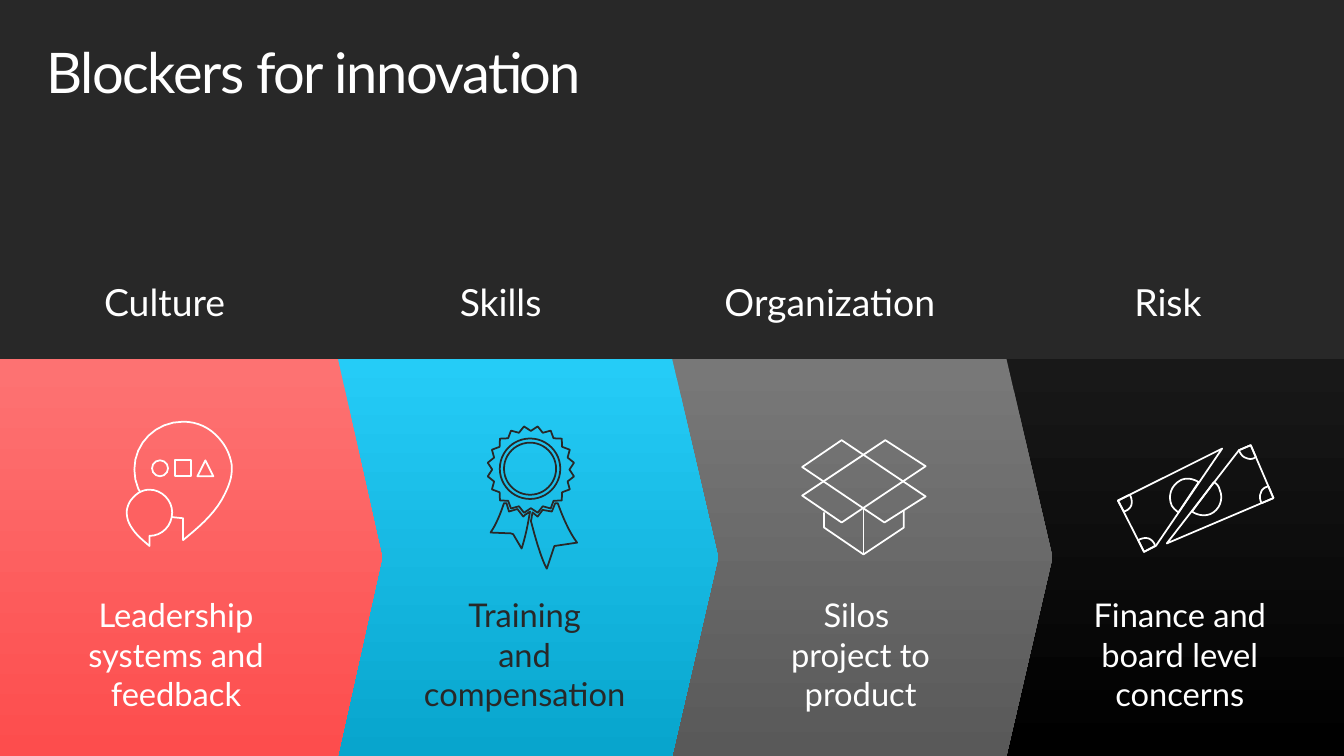
import math

import pptx
import pptx.dml.color
import pptx.enum.shapes
import pptx.enum.text
import pptx.oxml.ns
import pptx.util
from lxml import etree

Inches = pptx.util.Inches
RGBColor = pptx.dml.color.RGBColor
SHAPE = pptx.enum.shapes.MSO_SHAPE
ALIGN = pptx.enum.text.PP_ALIGN
ANCHOR = pptx.enum.text.MSO_ANCHOR

DARK = RGBColor(0x28, 0x28, 0x28)
WHITE = RGBColor(0xFF, 0xFF, 0xFF)
CORAL = RGBColor(0xFD, 0x61, 0x61)
CORAL_TOP, CORAL_END = RGBColor(0xFD, 0x72, 0x72), RGBColor(0xFD, 0x4D, 0x4D)
BLUE_TOP, BLUE_END = RGBColor(0x25, 0xCC, 0xF7), RGBColor(0x08, 0xA5, 0xCD)
GRAY_TOP, GRAY_END = RGBColor(0x78, 0x78, 0x78), RGBColor(0x59, 0x59, 0x59)
BLACK_TOP, BLACK_END = RGBColor(0x18, 0x18, 0x18), RGBColor(0, 0, 0)

BAND_TOP, BAND_HEIGHT = 4.27, 4.73

COLUMNS = [
    ("Culture", 0, 3.92, "Leadership systems and feedback", 0.54, WHITE),
    ("Skills", 3.92, 4.08, "Training\nand compensation", 4.69, DARK),
    ("Organization", 7.84, 4.08, "Silos \nproject to product", 8.69, WHITE),
    ("Risk", 11.92, 3.97, "Finance and board level concerns", 12.49, WHITE),
]
BANDS = [
    (SHAPE.RECTANGLE, 11.87, 4.13, BLACK_TOP, BLACK_END, 0),
    (SHAPE.PENTAGON, 6.16, 6.37, GRAY_TOP, GRAY_END, 0.02),
    (SHAPE.PENTAGON, 2.18, 6.37, BLUE_TOP, BLUE_END, 0),
    (SHAPE.PENTAGON, 0, 4.55, CORAL_TOP, CORAL_END, 0.02),
]

LARGE_BUBBLE = [
    (2.76, 5.59), (2.76, 5.58, 2.76, 5.56, 2.76, 5.54),
    (2.74, 5.41, 2.69, 5.31, 2.61, 5.22), (2.5, 5.09, 2.35, 5.02, 2.18, 5.02),
    (1.86, 5.02, 1.6, 5.27, 1.6, 5.59), (1.6, 5.91, 1.86, 6.17, 2.18, 6.17),
    (2.18, 6.43), (2.35, 6.29, 2.53, 6.14, 2.64, 5.95),
    (2.7, 5.84, 2.76, 5.72, 2.76, 5.59),
]
SMALL_BUBBLE = [
    (1.51, 6.1), (1.51, 6.08), (1.52, 6.02, 1.54, 5.97, 1.58, 5.93),
    (1.63, 5.87, 1.7, 5.83, 1.78, 5.83), (1.93, 5.83, 2.05, 5.96, 2.05, 6.1),
    (2.05, 6.26, 1.93, 6.38, 1.78, 6.38), (1.78, 6.5),
    (1.7, 6.43, 1.62, 6.37, 1.56, 6.27), (1.53, 6.22, 1.51, 6.17, 1.51, 6.1),
]
RIBBONS = [
    [(6.25, 6.13), (6.31, 6.09), (6.27, 6.34, 6.23, 6.47, 6.21, 6.53),
     (6.11, 6.36), (6.08, 6.35), (5.84, 6.34),
     (5.91, 6.24, 5.96, 6.11, 6, 5.99), (6.03, 5.99), (6.06, 6.09),
     (6.16, 6.06), (6.23, 6.15)],
    [(6.64, 5.99), (6.61, 5.99), (6.57, 6.09), (6.46, 6.07), (6.4, 6.15),
     (6.34, 6.1), (6.33, 6.14, 6.33, 6.17, 6.32, 6.2),
     (6.44, 6.67, 6.51, 6.77, 6.51, 6.77), (6.6, 6.5), (6.87, 6.46),
     (6.78, 6.34, 6.7, 6.16, 6.64, 5.99)],
]
CARTON_BASE = [(9.81, 6.1), (9.81, 6.28), (10.28, 6.6), (10.76, 6.28), (10.76, 6.08)]
CARTON_FLAPS = [
    [(10.54, 5.24), (9.55, 5.9), (10.02, 6.22), (11.02, 5.55)],
    [(9.55, 5.56), (10.53, 6.22), (11.02, 5.91), (10.02, 5.24)],
]
TORN_BANKNOTE = [
    [(14.75, 5.36), (13.89, 6.47), (15.16, 5.93), (14.89, 5.3)],
    [(14.75, 5.36), (14.76, 5.39, 14.79, 5.44, 14.83, 5.45),
     (14.87, 5.47, 14.92, 5.47, 14.95, 5.44), (14.89, 5.3)],
    [(15.02, 5.99), (15, 5.96, 14.99, 5.9, 15.01, 5.87),
     (15.02, 5.82, 15.06, 5.8, 15.1, 5.79), (15.16, 5.93)],
    [(14.19, 6.09), (14.25, 6.13, 14.33, 6.15, 14.41, 6.12),
     (14.52, 6.07, 14.57, 5.94, 14.52, 5.83),
     (14.51, 5.79, 14.49, 5.76, 14.45, 5.74)],
    [(13.76, 6.5), (14.55, 5.34), (13.31, 5.96), (13.62, 6.57)],
    [(13.75, 6.5), (13.75, 6.47, 13.71, 6.42, 13.67, 6.41),
     (13.63, 6.4, 13.59, 6.41, 13.55, 6.43), (13.62, 6.57)],
    [(13.45, 5.89), (13.47, 5.92, 13.48, 5.97, 13.47, 6.01),
     (13.46, 6.05, 13.42, 6.08, 13.38, 6.09), (13.31, 5.96)],
    [(14.27, 5.74), (14.21, 5.7, 14.12, 5.68, 14.05, 5.72),
     (13.94, 5.78, 13.9, 5.91, 13.95, 6.02),
     (13.97, 6.05, 14, 6.08, 14.03, 6.1)],
]


def write_text(tf, text, size=28, color=WHITE, align=ALIGN.CENTER, spacing=1.0, tracking=0):
    p = tf.paragraphs[0]
    p.alignment = align
    p.line_spacing = spacing
    for i, line in enumerate(text.split("\n")):
        if i:
            p.add_line_break()
        r = p.add_run()
        r.text = line
        r.font.name = "Lato"
        r.font.size = pptx.util.Pt(size)
        r.font.color.rgb = color
        if tracking:
            r.font._element.set("spc", str(round(tracking * 100)))


def flatten(path_points, steps=8):
    points = [path_points[0]]
    for item in path_points[1:]:
        if len(item) == 2:
            points.append(item)
            continue
        ctrl = [points[-1], item[:2], item[2:4], item[4:]]
        for t in (n / steps for n in range(1, steps + 1)):
            weights = [math.comb(3, k) * t**k * (1 - t) ** (3 - k) for k in range(4)]
            points.append(tuple(sum(w * c[axis] for w, c in zip(weights, ctrl)) for axis in (0, 1)))
    return points


def serrated_edge(cx, cy, outer, inner, teeth):
    points = []
    for i in range(2 * teeth):
        angle = math.radians(9 + 180 * i / teeth)
        radius = inner if i % 2 else outer
        points.append((cx + radius * math.cos(angle), cy + radius * math.sin(angle)))
    return points


class Deck:
    def __init__(self):
        self.prs = pptx.Presentation()
        self.prs.slide_width, self.prs.slide_height = Inches(16), Inches(9)
        self.s = self.prs.slides.add_slide(self.prs.slide_layouts[5])
        self.s.background.fill.solid()
        self.s.background.fill.fore_color.rgb = DARK

    def title(self, text):
        sp = self.s.shapes.title
        sp.left, sp.top, sp.width, sp.height = map(Inches, (0.35, 0.38, 15.29, 1.18))
        tf = sp.text_frame
        tf.auto_size = pptx.enum.text.MSO_AUTO_SIZE.NONE
        tf.vertical_anchor = ANCHOR.TOP
        tf.margin_left = tf.margin_right = Inches(0.2)
        tf.margin_top = tf.margin_bottom = Inches(0.16)
        write_text(tf, text, size=48, align=ALIGN.LEFT, spacing=0.9, tracking=-1.2)

    def text(self, text, x, y, w, h, anchor=ANCHOR.TOP, **fmt):
        tf = self.s.shapes.add_textbox(*map(Inches, (x, y, w, h))).text_frame
        tf.word_wrap = True
        tf.vertical_anchor = anchor
        write_text(tf, text, **fmt)

    def band(self, kind, x, w, top, end, start):
        sp = self.s.shapes.add_shape(kind, *map(Inches, (x, BAND_TOP, w, BAND_HEIGHT)))
        sp.shadow.inherit = False
        sp.line.fill.background()
        if kind == SHAPE.PENTAGON:
            sp.adjustments[0] = 0.116
        sp.fill.gradient()
        sp.fill.gradient_angle = 270
        for stop, color, position in zip(sp.fill.gradient_stops, (top, end), (start, 1)):
            stop.color.rgb = color
            stop.position = position

    def icon(self):
        return self.s.shapes.add_group_shape().shapes

    def stroke(self, sp, color, fill=None):
        sp.shadow.inherit = False
        sp.line.color.rgb = color
        sp.line.width = pptx.util.Pt(1.5)
        if fill is None:
            sp.fill.background()
        else:
            sp.fill.solid()
            sp.fill.fore_color.rgb = fill

    def preset(self, icon, kind, x, y, size, color=WHITE):
        self.stroke(icon.add_shape(kind, *map(Inches, (x, y, size, size))), color)

    def outline(self, icon, path_points, color=WHITE, fill=None, close=True):
        points = [(Inches(x), Inches(y)) for x, y in flatten(path_points)]
        builder = icon.build_freeform(*points[0], scale=1.0)
        builder.add_line_segments(points[1:], close=close)
        self.stroke(builder.convert_to_shape(), color, fill)

    def line(self, icon, x1, y1, x2, y2, color=WHITE):
        cxn = icon.add_connector(pptx.enum.shapes.MSO_CONNECTOR.STRAIGHT, *map(Inches, (x1, y1, x2, y2)))
        cxn.line.color.rgb = color
        cxn.line.width = pptx.util.Pt(1.5)
        etree.SubElement(cxn._element.spPr, pptx.oxml.ns.qn("a:effectLst"))


def main():
    deck = Deck()
    deck.title("Blockers for innovation")
    for band in BANDS:
        deck.band(*band)
    for heading, x, w, blocker, blocker_x, color in COLUMNS:
        deck.text(heading, x, 3.33, w, 0.81, size=32, spacing=0.9)
        deck.text(blocker, blocker_x, 6.23, 3.11, 3.11, anchor=ANCHOR.MIDDLE, color=color)

    bubbles = deck.icon()
    deck.outline(bubbles, LARGE_BUBBLE)
    for i, kind in enumerate((SHAPE.OVAL, SHAPE.RECTANGLE, SHAPE.ISOSCELES_TRIANGLE)):
        deck.preset(bubbles, kind, 1.81 + 0.27 * i, 5.48, 0.19)
    deck.outline(bubbles, SMALL_BUBBLE, fill=CORAL)

    rosette = deck.icon()
    for ribbon in RIBBONS:
        deck.outline(rosette, ribbon, DARK)
    deck.outline(rosette, serrated_edge(6.32, 5.59, 0.52, 0.46, 20), DARK)
    for radius in (0.36, 0.31):
        deck.preset(rosette, SHAPE.OVAL, 6.31 - radius, 5.58 - radius, 2 * radius, DARK)

    carton = deck.icon()
    deck.outline(carton, CARTON_BASE, close=False)
    deck.line(carton, 10.28, 6.6, 10.28, 6.05)
    for flap in CARTON_FLAPS:
        deck.outline(carton, flap)

    banknote = deck.icon()
    for part in TORN_BANKNOTE:
        deck.outline(banknote, part)

    deck.prs.save("out.pptx")


if __name__ == "__main__":
    main()
